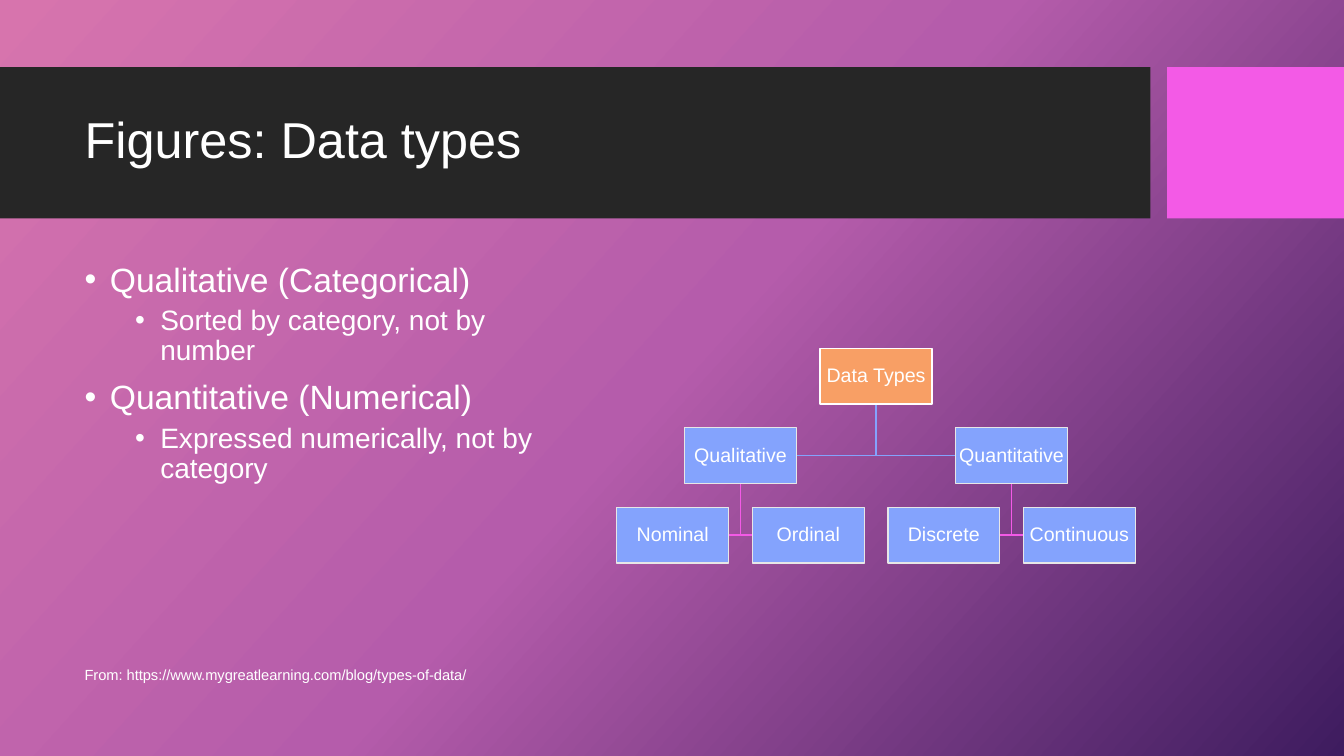
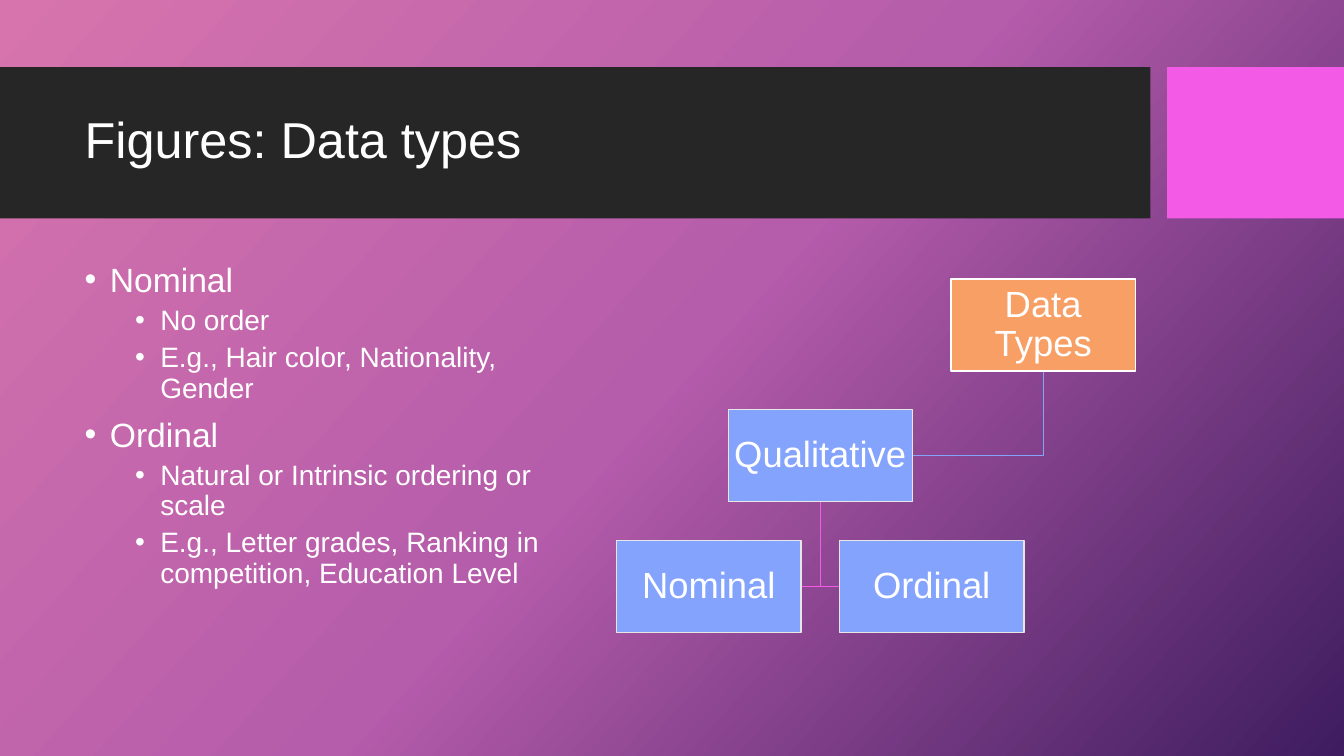
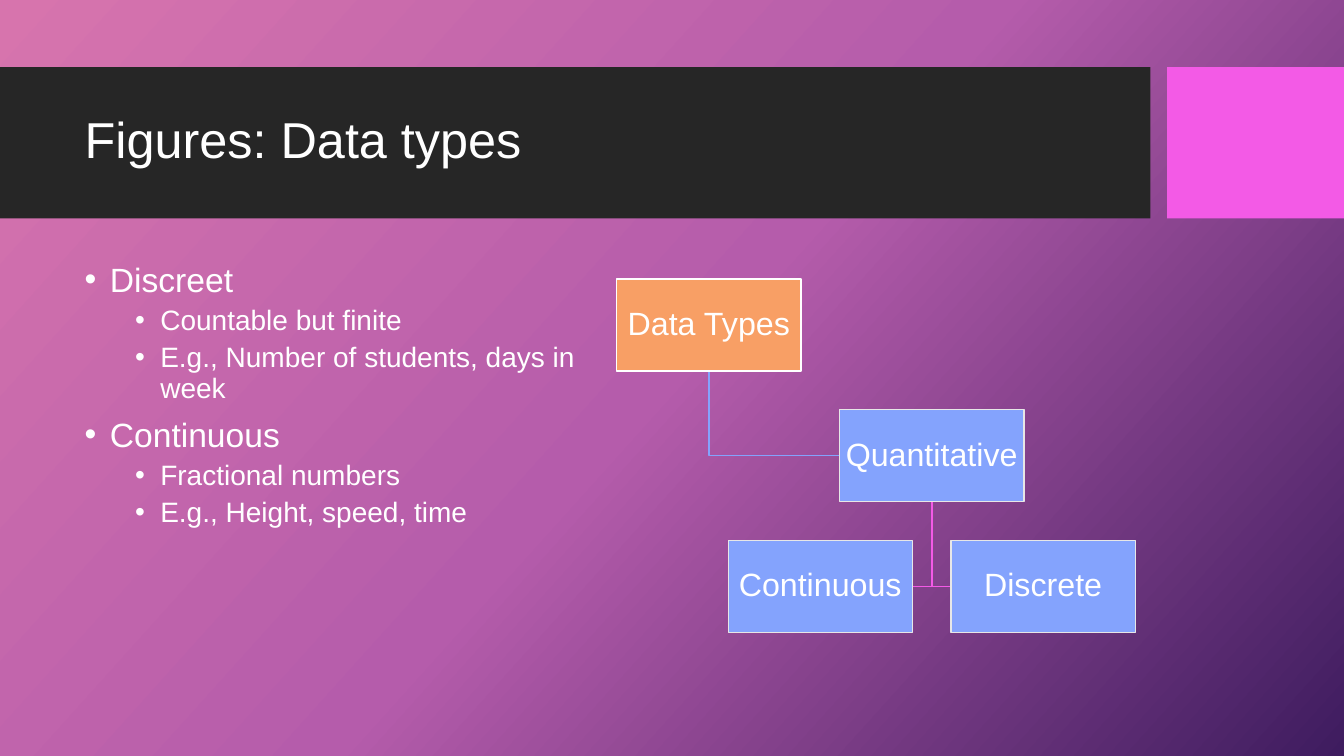
from copy import deepcopy

from lxml import etree
from pptx import Presentation
from pptx.dml.color import RGBColor
from pptx.enum import shapes, text
from pptx.oxml.ns import qn
from pptx.util import Pt

rgb = RGBColor.from_string
WHITE, PALE, DARK = "FFFFFF", "E7E7E7", "262626"
PINK, BLUE, CORAL = "F35AE6", "84A3FD", "F89F65"
RECT = shapes.MSO_SHAPE.RECTANGLE
MARGIN = 53.3
TITLE = "Figures: Data types"

# Each tree lists its nodes as label, column, row and parent index.
PAGES = [
    {
        "list": [
            (0, "Qualitative (Categorical)"),
            (1, "Sorted by category, not by number"),
            (0, "Quantitative (Numerical)"),
            (1, "Expressed numerically, not by category"),
        ],
        "size": 14,
        "tree": [
            ("Data Types", 1.5, 0, None),
            ("Qualitative", 0.5, 1, 0),
            ("Nominal", 0, 2, 1),
            ("Ordinal", 1, 2, 1),
            ("Quantitative", 2.5, 1, 0),
            ("Discrete", 2, 2, 4),
            ("Continuous", 3, 2, 4),
        ],
        "note": "From: https://www.mygreatlearning.com/blog/types-of-data/",
    },
    {
        "list": [
            (0, "Nominal"),
            (1, "No order"),
            (1, "E.g., Hair color, Nationality, Gender"),
            (0, "Ordinal"),
            (1, "Natural or Intrinsic ordering or scale"),
            (1, "E.g., Letter grades, Ranking in competition, Education Level"),
        ],
        "size": 26,
        "tree": [
            ("Data Types", 1.5, 0, None),
            ("Qualitative", 0.5, 1, 0),
            ("Nominal", 0, 2, 1),
            ("Ordinal", 1, 2, 1),
        ],
    },
    {
        "list": [
            (0, "Discreet"),
            (1, "Countable but finite"),
            (1, "E.g., Number of students, days in week"),
            (0, "Continuous"),
            (1, "Fractional numbers"),
            (1, "E.g., Height, speed, time"),
        ],
        "size": 23,
        "tree": [
            ("Data Types", 0, 0, None),
            ("Quantitative", 1, 1, 0),
            ("Discrete", 1.5, 2, 1),
            ("Continuous", 0.5, 2, 1),
        ],
    },
]


def write(para, words, size, space=0.9):
    run = para.add_run()
    run.text = words
    run.font.size = Pt(size)
    run.font.name = "Arial"
    run.font.color.rgb = rgb(WHITE)
    para.line_spacing = space


def paint(shape, fill=None, line=None):
    """Set fill and outline, leaving out whichever is not given."""
    shape.shadow.inherit = False
    if fill:
        shape.fill.solid()
        shape.fill.fore_color.rgb = rgb(fill)
    else:
        shape.fill.background()
    if line:
        shape.line.color.rgb = rgb(line)
        shape.line.width = Pt(1)
    else:
        shape.line.fill.background()


prs = Presentation()
prs.slide_width, prs.slide_height = Pt(960), Pt(540)
master = prs.slide_master
layout = prs.slide_layouts[1]

# Shared background
back = master.background.fill
back.gradient()
back.gradient_angle = 360 - 42
first = back.gradient_stops[0]._gs
first.addnext(deepcopy(first))
stops = [(0, "D774AD"), (0.5, "B55CAB"), (1, "3E1C5F")]
for stop, (place, tint) in zip(back.gradient_stops, stops):
    stop.position = place
    stop.color.rgb = rgb(tint)

# Shared places of title and list
places = [(59, 756.7, 85), (184.3, 370, 283.7)]
for holder, (top, wide, high) in zip(layout.placeholders, places):
    holder.left, holder.top = Pt(MARGIN), Pt(top)
    holder.width, holder.height = Pt(wide), Pt(high)

for page in PAGES:
    slide = prs.slides.add_slide(layout)
    head, body = slide.placeholders
    head.text_frame.auto_size = text.MSO_AUTO_SIZE.NONE
    head.text_frame.vertical_anchor = text.MSO_ANCHOR.MIDDLE
    para = head.text_frame.paragraphs[0]
    para.alignment = text.PP_ALIGN.LEFT
    write(para, TITLE, 36)

    frame = body.text_frame
    frame.auto_size = text.MSO_AUTO_SIZE.NONE
    for i, (level, words) in enumerate(page["list"]):
        para = frame.add_paragraph() if i else frame.paragraphs[0]
        para.level = level
        props = para._p.get_or_add_pPr()
        props.set("marL", str(Pt(54 if level else 18)))
        props.set("indent", str(Pt(-18)))
        font = etree.SubElement(props, qn("a:buFont"))
        font.set("typeface", "Arial")
        etree.SubElement(props, qn("a:buChar")).set("char", "•")
        para.space_before = Pt((5 if level else 10) if i else 0)
        write(para, words, 20 if level else 24)

    # The tree fills a fixed width; gaps and heights follow the box width.
    tree = page["tree"]
    span = max(col for _, col, _, _ in tree)
    wide = 370.4 / (1 + 1.21 * span)
    high, gap = wide / 2, 0.21 * wide
    top = 325.5 - 1.5 * high - gap
    spots = [(440.6 + col * (wide + gap), top + row * (high + gap))
             for _, col, row, _ in tree]

    for (_, _, row, parent), (x, y) in zip(tree, spots):
        if parent is None:
            continue
        stem = spots[parent][0] + wide / 2
        start = spots[parent][1] + high
        bend = y + high / 2
        end = x if x > stem else x + wide
        path = slide.shapes.build_freeform(Pt(stem), Pt(start))
        path.add_line_segments(
            [(Pt(stem), Pt(bend)), (Pt(end), Pt(bend))], close=False)
        paint(path.convert_to_shape(), line=BLUE if row == 1 else PINK)

    for (label, _, row, _), (x, y) in zip(tree, spots):
        box = slide.shapes.add_shape(RECT, Pt(x), Pt(y), Pt(wide), Pt(high))
        paint(box, BLUE if row else CORAL, PALE if row else WHITE)
        frame = box.text_frame
        frame.margin_left = frame.margin_right = Pt(1)
        frame.margin_top = frame.margin_bottom = Pt(1)
        frame.vertical_anchor = text.MSO_ANCHOR.MIDDLE
        frame.paragraphs[0].alignment = text.PP_ALIGN.CENTER
        write(frame.paragraphs[0], label, page["size"])

    if "note" in page:
        note = slide.shapes.add_textbox(
            Pt(MARGIN), Pt(467.3), Pt(540.7), Pt(28.8))
        note.text_frame.word_wrap = True
        note.text_frame.vertical_anchor = text.MSO_ANCHOR.MIDDLE
        write(note.text_frame.paragraphs[0], page["note"], 10.5, 1)

# Shared bands: drawn once, then moved to the back of the master
for left, wide, tint in [(0, 821.8, DARK), (833.6, 126.4, PINK)]:
    band = slide.shapes.add_shape(RECT, Pt(left), Pt(48), Pt(wide), Pt(108))
    paint(band, tint)
    master.shapes._spTree.insert(2, band._element)

prs.save("out.pptx")
